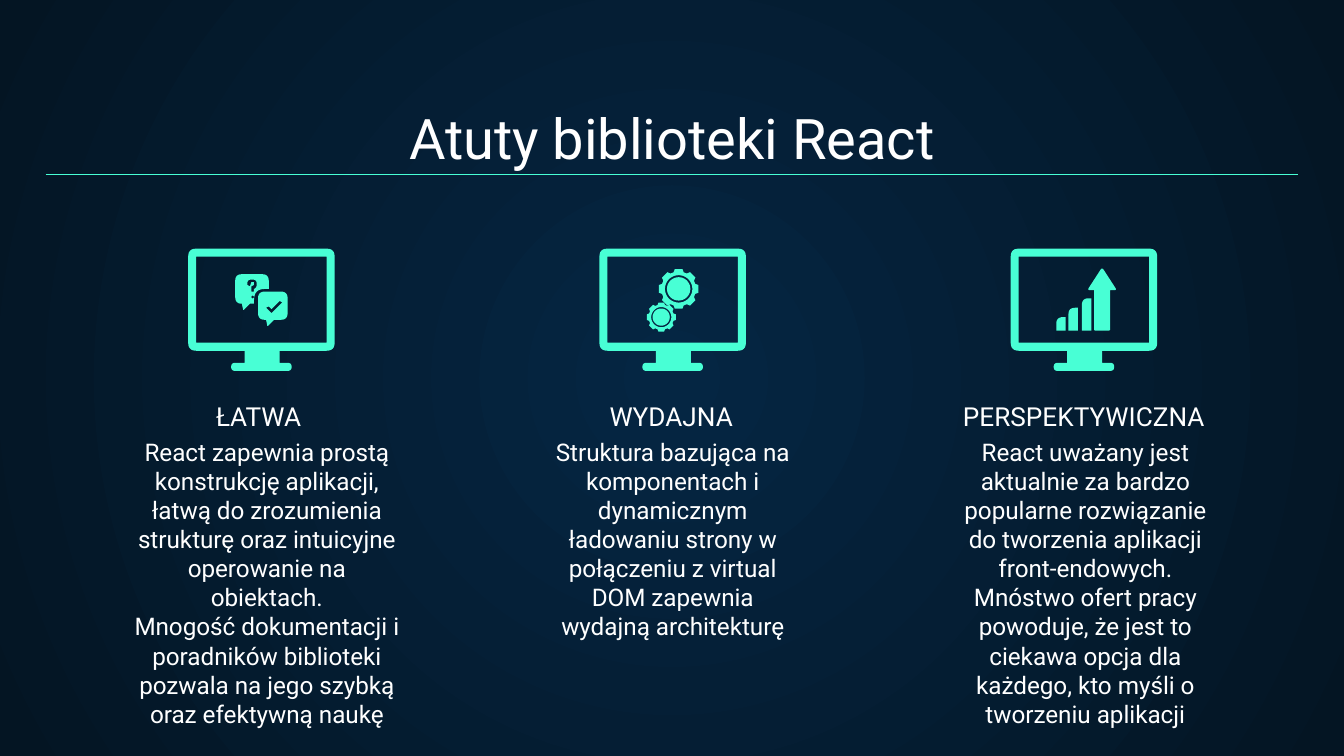
from math import cos, sin, tau, hypot, radians
from pptx import Presentation
from pptx.dml.color import RGBColor
from pptx.enum.text import MSO_ANCHOR, PP_ALIGN
from pptx.oxml import parse_xml
from pptx.oxml.ns import nsdecls, qn
from pptx.util import Inches, Pt

# Content
TITLE = "Atuty biblioteki React"
COLUMNS = [
    ("ŁATWA", 2.17, [
        "React zapewnia prostą konstrukcję aplikacji, łatwą do zrozumienia "
        "strukturę oraz intuicyjne operowanie na obiektach.",
        "Mnogość dokumentacji i poradników biblioteki pozwala na jego szybką "
        "oraz efektywną naukę"]),
    ("WYDAJNA", 2.07, [
        "Struktura bazująca na komponentach i dynamicznym ładowaniu strony w "
        "połączeniu z virtual DOM zapewnia wydajną architekturę"]),
    ("PERSPEKTYWICZNA", 2.07, [
        "React uważany jest aktualnie za bardzo popularne rozwiązanie do "
        "tworzenia aplikacji front-endowych. Mnóstwo ofert pracy powoduje, że "
        "jest to ciekawa opcja dla każdego, kto myśli o tworzeniu aplikacji"]),
]
THEME = dict(font="Roboto", text="FFFFFF", mint="48FFD5",
             inner="052643", outer="041523", title=30, head=14, body=13)

# Column grid
ICON_X, ICON_Y, ICON_STEP = 1.40, 1.85, 3.06
HEAD_X, BODY_X, TEXT_STEP = 0.79, 0.90, 3.07


# Outlines, in inches from the icon's top left; a corner is (x, y[, radius])
def bend(corners, steps=6):
    pts = []
    for i, (x, y, *rad) in enumerate(corners):
        if not rad:
            pts.append((x, y))
            continue
        ends = []
        for nx, ny, *_ in (corners[i - 1], corners[(i + 1) % len(corners)]):
            part = rad[0] / hypot(nx - x, ny - y)
            ends.append((x + (nx - x) * part, y + (ny - y) * part))
        (ax, ay), (bx, by) = ends
        for k in range(steps + 1):
            t = k / steps
            a, m, b = (1 - t) ** 2, 2 * t * (1 - t), t * t
            pts.append((a * ax + m * x + b * bx, a * ay + m * y + b * by))
    return pts


def ring(cx, cy, r, count=40):
    return [(cx + r * cos(tau * k / count), cy + r * sin(tau * k / count))
            for k in range(count)]


def gear(cx, cy, r, teeth=8):
    pts = []
    for k in range(teeth):
        for turn, part in ((-17, 0.86), (-11, 1), (11, 1), (17, 0.86)):
            a = tau * k / teeth + radians(turn)
            pts.append((cx + r * part * cos(a), cy + r * part * sin(a)))
    return [[pts, ring(cx, cy, r * 0.68)], [ring(cx, cy, r * 0.58)]]


def bar(x, top):
    return [bend([(x, top, 0.05), (x + 0.07, top), (x + 0.07, 0.61), (x, 0.61)])]


# Each shape is a list of outlines: the edge first, then its holes
SCREEN = [
    bend([(0, 0, 0.06), (1.09, 0, 0.06), (1.09, 0.76, 0.06), (0.68, 0.76),
          (0.68, 0.85), (0.77, 0.85, 0.03), (0.77, 0.91, 0.03),
          (0.32, 0.91, 0.03), (0.32, 0.85, 0.03), (0.42, 0.85),
          (0.42, 0.76), (0, 0.76, 0.06)]),
    [(0.06, 0.06), (1.03, 0.06), (1.03, 0.70), (0.06, 0.70)],
]
ASK = [
    bend([(0.35, 0.19, 0.05), (0.60, 0.19, 0.05), (0.60, 0.30),
          (0.49, 0.30, 0.08), (0.49, 0.41), (0.46, 0.41),
          (0.41, 0.46, 0.01), (0.40, 0.41), (0.35, 0.41, 0.05)]),
    bend([(0.44, 0.27), (0.44, 0.23, 0.03), (0.51, 0.23, 0.03),
          (0.51, 0.29, 0.02), (0.49, 0.30), (0.49, 0.32), (0.47, 0.32),
          (0.47, 0.28), (0.49, 0.27), (0.49, 0.25), (0.47, 0.25),
          (0.46, 0.28)]),
    ring(0.48, 0.36, 0.01),
]
TICK = [
    bend([(0.52, 0.32, 0.05), (0.74, 0.32, 0.05), (0.74, 0.53, 0.05),
          (0.64, 0.53), (0.59, 0.58, 0.01), (0.58, 0.53), (0.52, 0.53, 0.05)]),
    [(0.68, 0.39), (0.70, 0.40), (0.62, 0.48), (0.58, 0.44), (0.60, 0.43),
     (0.62, 0.45)],
]
ARROW = [bend([(0.68, 0.14, 0.02), (0.79, 0.31, 0.02), (0.74, 0.31),
               (0.74, 0.61, 0.01), (0.62, 0.61, 0.01), (0.62, 0.31),
               (0.57, 0.31, 0.02)])]
ICONS = [
    [TICK, ASK],
    gear(0.59, 0.3, 0.15) + gear(0.46, 0.51, 0.11),
    [bar(x, top) for x, top in ((0.34, 0.51), (0.43, 0.44), (0.53, 0.37))]
    + [ARROW],
]


def color(name):
    return RGBColor.from_string(THEME[name])


def draw(shapes, outlines, left, top):
    def place(pts):
        return [(Inches(left + x), Inches(top + y)) for x, y in pts]

    first, *holes = map(place, outlines)
    pen = shapes.build_freeform(*first[0])
    pen.add_line_segments(first[1:], close=True)
    for hole in holes:
        pen.move_to(*hole[0])
        pen.add_line_segments(hole[1:], close=True)
    shape = pen.convert_to_shape()
    shape.shadow.inherit = False
    shape.fill.solid()
    shape.fill.fore_color.rgb = color("mint")
    shape.line.fill.background()


def write(slide, box, paras, size, anchor):
    frame = slide.shapes.add_textbox(*map(Inches, box)).text_frame
    frame.word_wrap = True
    frame.vertical_anchor = anchor
    frame.margin_left = frame.margin_right = Inches(0.1)
    frame.margin_top = frame.margin_bottom = Inches(0.1)
    for i, text in enumerate(paras):
        para = frame.add_paragraph() if i else frame.paragraphs[0]
        para.alignment = PP_ALIGN.CENTER
        run = para.add_run()
        run.text = text
        run.font.name = THEME["font"]
        run.font.size = Pt(THEME[size])
        run.font.color.rgb = color("text")


def paint(slide):
    fill = slide.background.fill
    fill.gradient()
    for stop, name in zip(fill.gradient_stops, ("inner", "outer")):
        stop.color.rgb = color(name)
    grad = slide._element.find(".//" + qn("a:gradFill"))
    grad.replace(grad.find(qn("a:lin")), parse_xml(
        f'<a:path {nsdecls("a")} path="circle"><a:fillToRect l="50000" '
        't="50000" r="50000" b="50000"/></a:path>'))


def main():
    deck = Presentation()
    deck.slide_width = Inches(10)
    deck.slide_height = deck.slide_width * 9 // 16
    slide = deck.slides.add_slide(deck.slide_layouts[6])
    paint(slide)

    # Title and rule
    write(slide, (0.34, 0.71, 9.32, 0.66), [TITLE], "title", MSO_ANCHOR.BOTTOM)
    rule = slide.shapes.add_connector(
        1, Inches(0.34), Inches(1.3), Inches(9.66), Inches(1.3))
    rule.line.color.rgb = color("mint")
    rule.line.width = Pt(0.75)
    rule._element.spPr.append(parse_xml(f'<a:effectLst {nsdecls("a")}/>'))

    # Columns: screen with its icon, heading, body
    for i, ((head, width, paras), icon) in enumerate(zip(COLUMNS, ICONS)):
        left, shift = ICON_X + ICON_STEP * i, TEXT_STEP * i
        draw(slide.shapes, SCREEN, left, ICON_Y)
        group = slide.shapes.add_group_shape()
        for part in icon:
            draw(group.shapes, part, left, ICON_Y)
        write(slide, (BODY_X + shift, 3.15, width, 0.55), paras,
              "body", MSO_ANCHOR.TOP)
        write(slide, (HEAD_X + shift, 3.1, 2.27, 0.21), [head],
              "head", MSO_ANCHOR.BOTTOM)

    deck.save("out.pptx")


if __name__ == "__main__":
    main()
